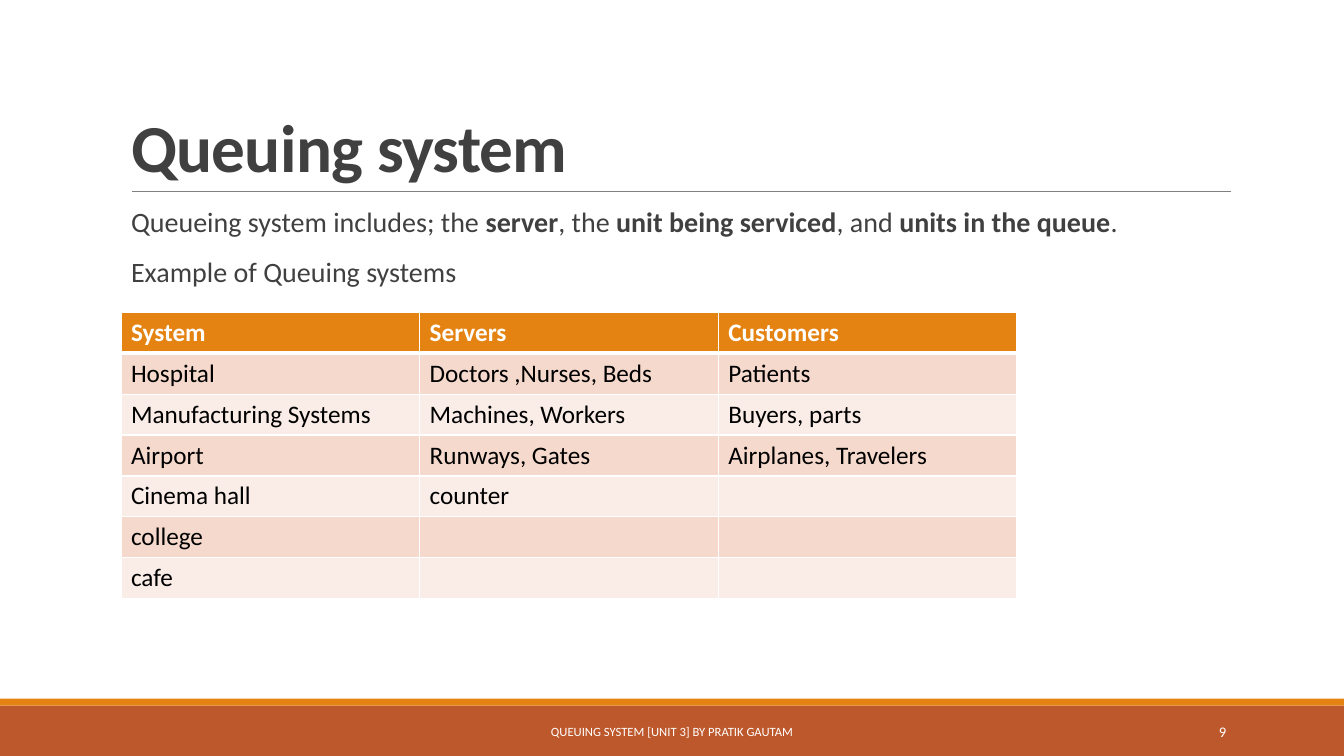
from lxml import etree
from pptx import Presentation, util as u
from pptx.dml.color import RGBColor
from pptx.enum import shapes, text
from pptx.oxml import ns

COLORS = {
    "rust": "BD582C", "orange": "E48312", "rule": "808080", "ink": "404040",
    "white": "FFFFFF", "black": "000000", "band_dark": "F5D9CC", "band_light": "FAEDE7",
}
BODY = [
    [("Queueing system includes; the ", False), ("server", True), (", the ", False),
     ("unit being serviced", True), (", and ", False), ("units in the queue", True), (".", False)],
    [("Example of Queuing systems", False)],
]
SYSTEMS = [
    ("System", "Servers", "Customers"),
    ("Hospital", "Doctors ,Nurses, Beds", "Patients"),
    ("Manufacturing Systems", "Machines, Workers", "Buyers, parts"),
    ("Airport", "Runways, Gates", "Airplanes, Travelers"),
    ("Cinema hall", "counter", ""),
    ("college", "", ""),
    ("cafe", "", ""),
]


def color(name):
    return RGBColor.from_string(COLORS[name])


def add_xml(parent, tag, **attributes):
    return etree.SubElement(parent, ns.qn(tag), attributes)


class SlideBuilder:
    """Places elements on a grid of 100 columns by 100 rows."""
    font = "Calibri"

    def __init__(self, deck):
        self.column = deck.slide_width / 100
        self.row = deck.slide_height / 100
        self.page = deck.slides.add_slide(deck.slide_layouts[1])

    def area(self, left, top, width, height):
        return [u.Emu(round(length * unit)) for length, unit in
                zip((left, top, width, height), (self.column, self.row) * 2)]

    def style(self, para, size, ink, bold=None):
        para.font.name, para.font.size, para.font.bold = self.font, u.Pt(size), bold
        para.font.color.rgb = color(ink)

    def place(self, box, *area):
        box.left, box.top, box.width, box.height = self.area(*area)
        box.text_frame.word_wrap = True
        box.text_frame.auto_size = text.MSO_AUTO_SIZE.NONE
        return box.text_frame

    def bar(self, fill, *area):
        box = self.page.shapes.add_shape(shapes.MSO_SHAPE.RECTANGLE, *self.area(*area))
        box.shadow.inherit = False
        box.fill.solid()
        box.fill.fore_color.rgb = color(fill)
        box.line.fill.background()

    def rule(self, left, right, top):
        x1, y, x2, _ = self.area(left, top, right, 0)
        line = self.page.shapes.add_connector(shapes.MSO_CONNECTOR.STRAIGHT, x1, y, x2, y)
        line.line.color.rgb = color("rule")
        line.line.width = u.Pt(0.5)
        add_xml(line._element.spPr, "a:effectLst")

    def title(self, words, *area):
        frame = self.place(self.page.shapes.title, *area)
        frame.vertical_anchor = text.MSO_ANCHOR.BOTTOM
        para = frame.paragraphs[0]
        para.alignment, para.line_spacing = text.PP_ALIGN.LEFT, 0.85
        self.style(para, 48, "ink", True)
        span = para.add_run()
        span.text = words
        span.font._element.set("spc", "-50")

    def body(self, paragraphs, *area):
        frame = self.place(self.page.placeholders[1], *area)
        frame.margin_left = frame.margin_right = 0
        for index, spans in enumerate(paragraphs):
            para = frame.add_paragraph() if index else frame.paragraphs[0]
            para.line_spacing = 0.9
            para.space_before, para.space_after = u.Pt(12), u.Pt(2)
            # Blank bullet with a hanging indent
            properties = para._p.get_or_add_pPr()
            properties.set("marL", str(u.Inches(0.1)))
            properties.set("indent", str(u.Inches(-0.1)))
            add_xml(properties, "a:buChar", char=" ")
            self.style(para, 20, "ink")
            for words, bold in spans:
                span = para.add_run()
                span.text, span.font.bold = words, bold

    def label(self, words, size, alignment, *area):
        box = self.page.shapes.add_textbox(*self.area(*area))
        frame = self.place(box, *area)
        frame.vertical_anchor = text.MSO_ANCHOR.MIDDLE
        para = frame.paragraphs[0]
        para.text, para.alignment = words, alignment
        self.style(para, size, "white")

    def table(self, rows, *area):
        table = self.page.shapes.add_table(len(rows), len(rows[0]), *self.area(*area)).table
        for r, values in enumerate(rows):
            header = r == 0
            fill = "orange" if header else ("band_light", "band_dark")[r % 2]
            for c, words in enumerate(values):
                cell = table.cell(r, c)
                self.borders(cell, top=3 if r == 1 else 1, bottom=3 if header else 1)
                cell.fill.solid()
                cell.fill.fore_color.rgb = color(fill)
                para = cell.text_frame.paragraphs[0]
                para.text = words
                self.style(para, 18, "white" if header else "black", header)

    def borders(self, cell, top, bottom):
        properties = cell._tc.get_or_add_tcPr()
        for side, points in (("L", 1), ("R", 1), ("T", top), ("B", bottom)):
            edge = add_xml(properties, f"a:ln{side}", w=str(u.Pt(points)))
            add_xml(add_xml(edge, "a:solidFill"), "a:srgbClr", val=COLORS["white"])


def main():
    deck = Presentation()
    deck.slide_width, deck.slide_height = u.Inches(13.33), u.Inches(7.5)
    slide = SlideBuilder(deck)

    # Footer bars and title rule
    slide.bar("rust", 0, 93.33, 100, 6.67)
    slide.bar("orange", 0, 92.4, 100, 0.93)
    slide.rule(9.83, 91.6, 25.33)

    # Title and text
    slide.title("Queuing system", 9, 4.13, 82.5, 21.2)
    slide.body(BODY, 9, 26.93, 82.5, 58.67)

    # Footer
    slide.label("QUEUING SYSTEM [UNIT 3] BY PRATIK GAUTAM", 9, text.PP_ALIGN.CENTER,
                30.23, 94.13, 39.53, 5.33)
    slide.label("9", 10.5, text.PP_ALIGN.RIGHT, 81.25, 94.13, 10.73, 5.33)

    # Examples
    slide.table(SYSTEMS, 9, 41.33, 66.67, 37.73)
    deck.save("out.pptx")


if __name__ == "__main__":
    main()
